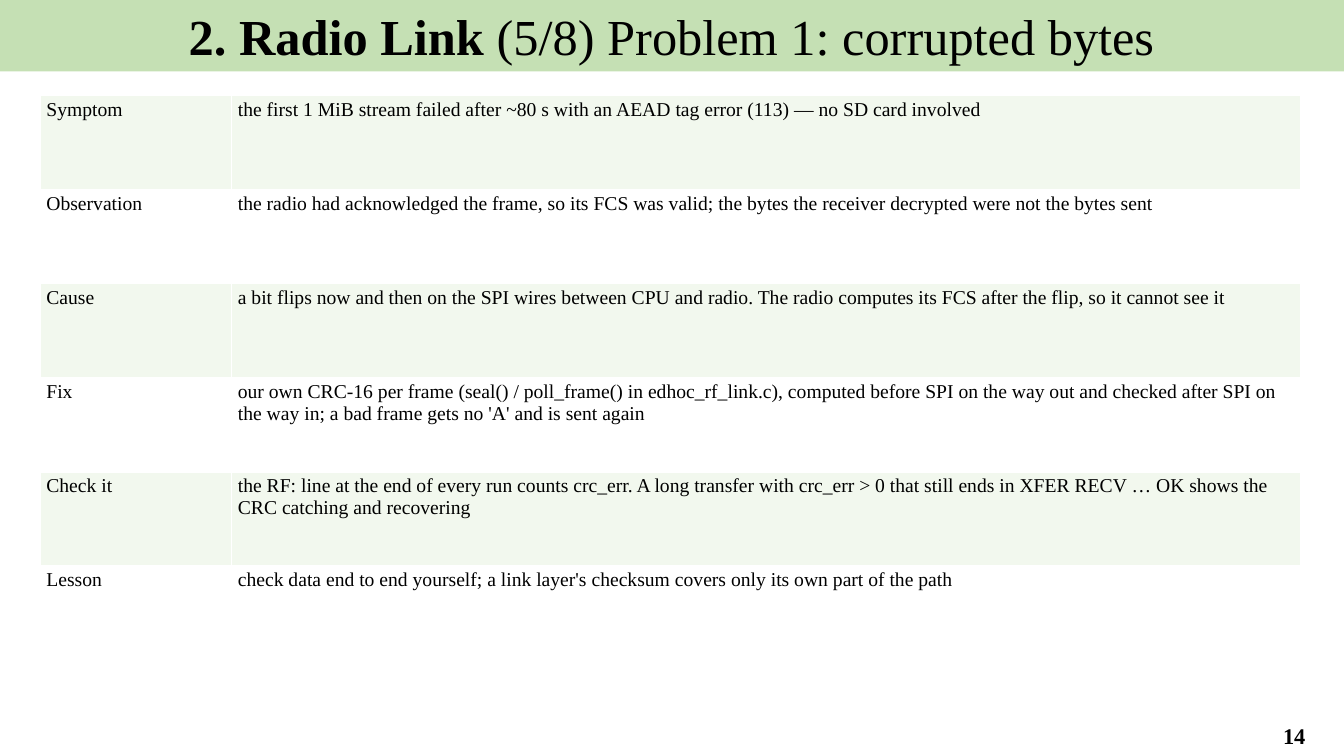
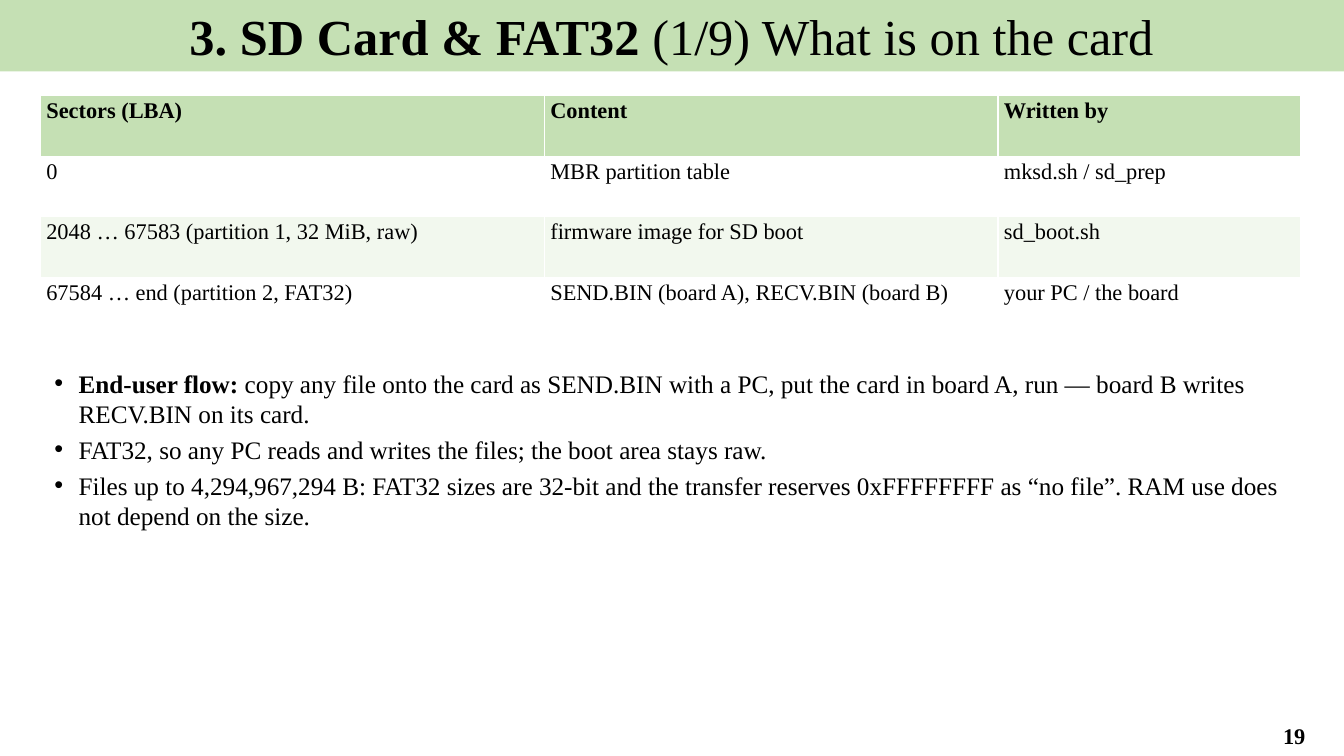
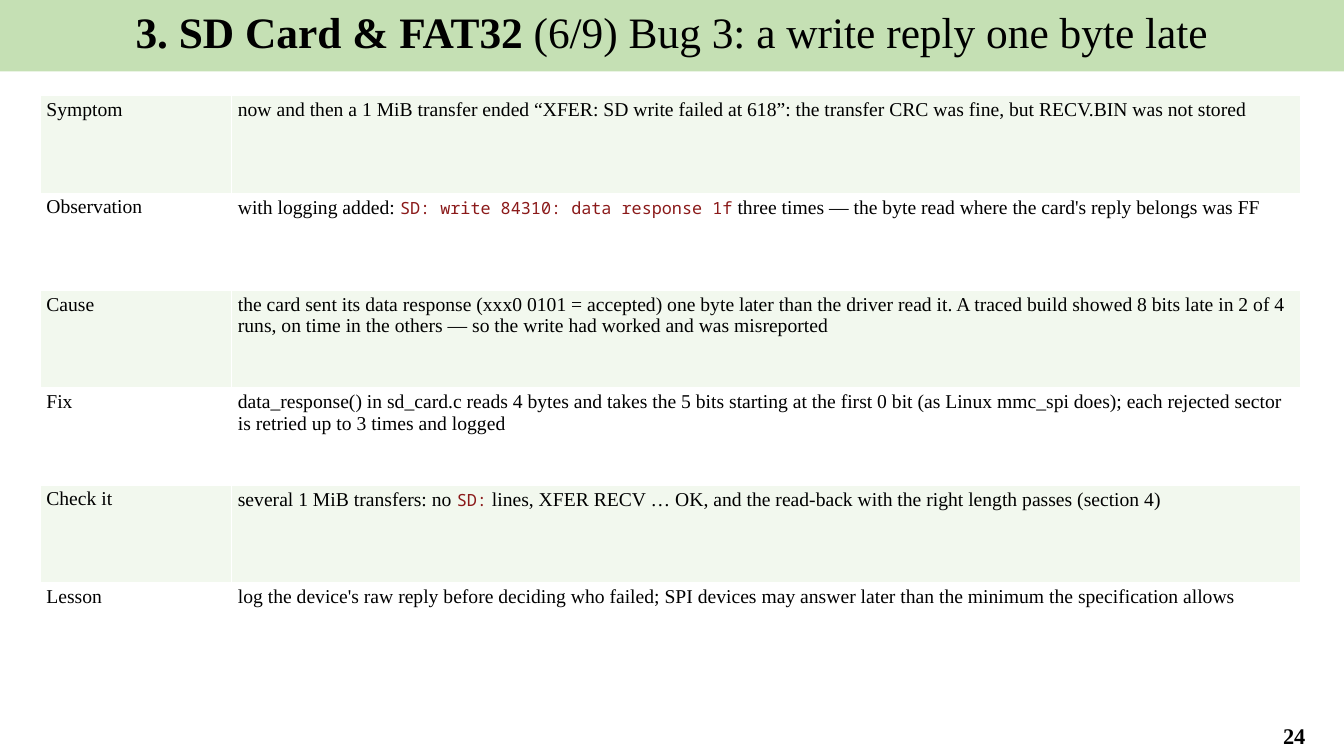
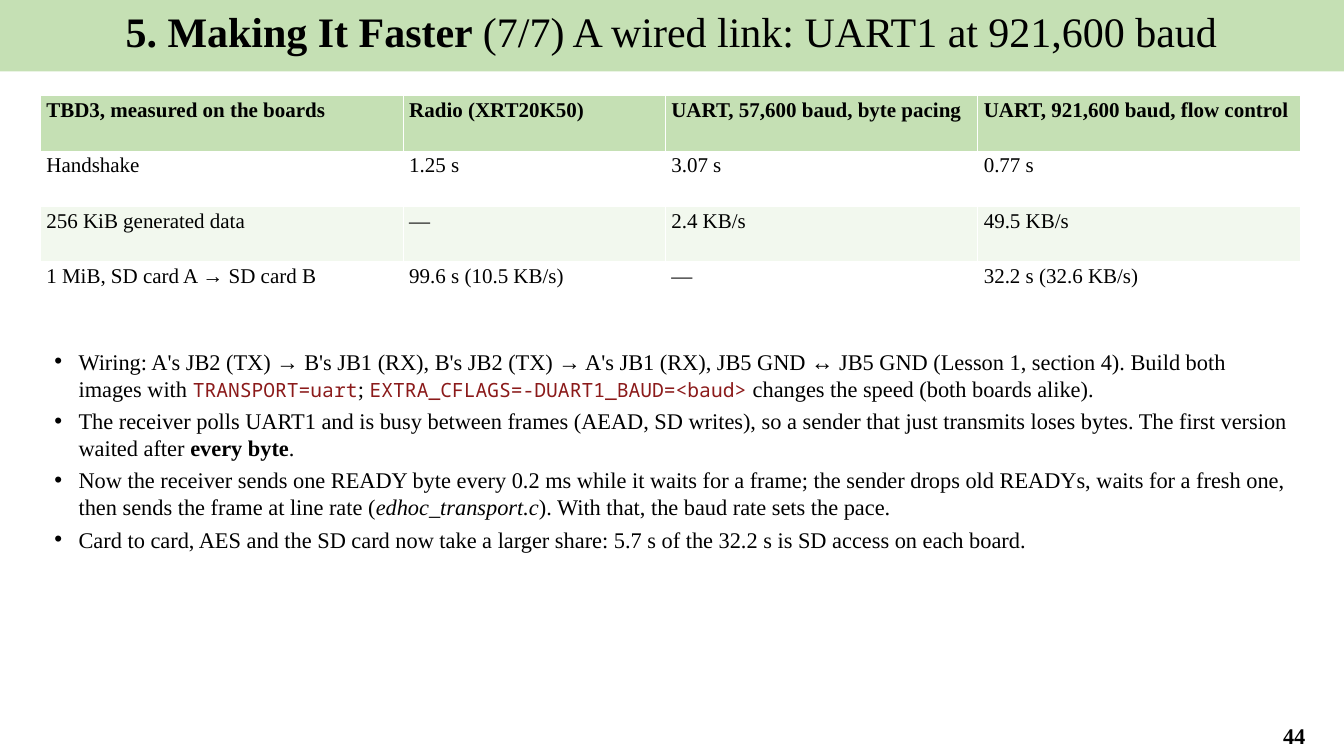
"""Build four lesson slides on a radio link, an SD card and a wired link."""
from dataclasses import dataclass, field
from typing import Optional

from pptx import Presentation
from pptx import slide as s
from pptx import util as u
from pptx.dml import color
from pptx.enum import text as e
from pptx.shapes import base
from pptx.text import text as t


@dataclass(frozen=True)
class Theme:
    ink: color.RGBColor = color.RGBColor(0x00, 0x00, 0x00)
    code: color.RGBColor = color.RGBColor(0x8B, 0x1A, 0x1A)
    band: color.RGBColor = color.RGBColor(0xC5, 0xE0, 0xB4)
    tint: color.RGBColor = color.RGBColor(0xF2, 0xF8, 0xEE)
    paper: color.RGBColor = color.RGBColor(0xFF, 0xFF, 0xFF)
    serif: str = "Times New Roman"
    mono: str = "Noto Sans Mono"
    number_size: float = 16
    case_size: float = 14
    code_step: float = 2


@dataclass(frozen=True)
class Run:
    words: str
    bold: bool = False
    italic: bool = False
    code: bool = False


@dataclass(frozen=True)
class Box:
    left: float
    top: float
    width: float
    height: float


Line = list[Run]


@dataclass(frozen=True)
class Grid:
    widths: list[float]
    height: float
    size: float
    rows: list[list[Line]]
    header: bool = True


@dataclass(frozen=True)
class Bullets:
    top: float
    height: float
    size: float
    lines: list[Line] = field(default_factory=list)


@dataclass(frozen=True)
class Page:
    number: int
    section: str
    topic: str
    title_size: float
    grid: Grid
    bullets: Optional[Bullets] = None


THEME = Theme()
SLIDE_WIDTH, SLIDE_HEIGHT = 960, 540
TITLE_BAND = Box(-0.5, 0, 960.5, 51)
NUMBER_BOX = Box(889.2, 511.2, 70.56, 28.08)
LEFT, TABLE_TOP, WIDTH = 28.8, 68.4, 900
CELL_SIDE, CELL_EDGE = 4.32, 2.16
HANG, INDENT, BULLET_GAP = 17.28, 20.16, 4
CASE_WIDTHS = [136.8, 763.2]
CASE_LABELS = ["Symptom", "Observation", "Cause", "Fix", "Check it", "Lesson"]


def plain(words: str) -> Line:
    return [Run(words)]


def case_grid(height: float, findings: list[Line]) -> Grid:
    rows = [[plain(label), finding] for label, finding in zip(CASE_LABELS, findings)]
    return Grid(CASE_WIDTHS, height, THEME.case_size, rows, header=False)


def data_grid(widths: list[float], height: float, size: float, rows: list[list[str]]) -> Grid:
    heading = [[Run(words, bold=True)] for words in rows[0]]
    return Grid(widths, height, size, [heading] + [[plain(words) for words in row] for row in rows[1:]])


def write(paragraph: t._Paragraph, line: Line, size: float) -> None:
    for part in line:
        run = paragraph.add_run()
        run.text = part.words
        font = run.font
        font.name = THEME.mono if part.code else THEME.serif
        font.size = u.Pt(size - THEME.code_step if part.code else size)
        font.bold, font.italic = part.bold, part.italic
        font.color.rgb = THEME.code if part.code else THEME.ink


def place(shape: base.BaseShape, box: Box) -> None:
    shape.left, shape.top = u.Pt(box.left), u.Pt(box.top)
    shape.width, shape.height = u.Pt(box.width), u.Pt(box.height)


def set_frame(frame: t.TextFrame, anchor: e.MSO_ANCHOR) -> None:
    frame.word_wrap = True
    frame.auto_size = e.MSO_AUTO_SIZE.NONE
    frame.vertical_anchor = anchor


def add_title(slide: s.Slide, page: Page) -> None:
    title = slide.shapes.title
    place(title, TITLE_BAND)
    title.fill.solid()
    title.fill.fore_color.rgb = THEME.band
    set_frame(title.text_frame, e.MSO_ANCHOR.TOP)
    heading = title.text_frame.paragraphs[0]
    heading.alignment = e.PP_ALIGN.CENTER
    write(heading, [Run(page.section + " ", bold=True), Run(page.topic)], page.title_size)


def add_number(slide: s.Slide, number: int) -> None:
    corner = slide.shapes.add_textbox(0, 0, 0, 0)
    place(corner, NUMBER_BOX)
    set_frame(corner.text_frame, e.MSO_ANCHOR.MIDDLE)
    label = corner.text_frame.paragraphs[0]
    label.alignment = e.PP_ALIGN.CENTER
    write(label, [Run(str(number), bold=True)], THEME.number_size)


def add_grid(slide: s.Slide, grid: Grid) -> None:
    table = slide.shapes.add_table(
        len(grid.rows), len(grid.widths),
        u.Pt(LEFT), u.Pt(TABLE_TOP), u.Pt(WIDTH), u.Pt(grid.height),
    ).table
    table.horz_banding = False
    for column, width in zip(table.columns, grid.widths):
        column.width = u.Pt(width)
    for i, row in enumerate(grid.rows):
        table.rows[i].height = u.Pt(grid.height / len(grid.rows))
        stripe = THEME.paper if i % 2 else THEME.tint
        for j, line in enumerate(row):
            cell = table.cell(i, j)
            cell.margin_left = cell.margin_right = u.Pt(CELL_SIDE)
            cell.margin_top = cell.margin_bottom = u.Pt(CELL_EDGE)
            cell.fill.solid()
            cell.fill.fore_color.rgb = THEME.band if grid.header and i == 0 else stripe
            write(cell.text_frame.paragraphs[0], line, grid.size)


def add_bullets(slide: s.Slide, bullets: Bullets) -> None:
    body = slide.placeholders[1]
    place(body, Box(LEFT, bullets.top, WIDTH, bullets.height))
    frame = body.text_frame
    set_frame(frame, e.MSO_ANCHOR.TOP)
    for i, line in enumerate(bullets.lines):
        item = frame.add_paragraph() if i else frame.paragraphs[0]
        properties = item._p.get_or_add_pPr()
        properties.set("marL", str(u.Pt(INDENT)))
        properties.set("indent", str(-u.Pt(HANG)))
        item.space_before, item.space_after = u.Pt(0), u.Pt(BULLET_GAP)
        write(item, line, bullets.size)


PAGES = [
    Page(14, "2. Radio Link", "(5/8) Problem 1: corrupted bytes", 36, case_grid(403.2, [
        plain("the first 1 MiB stream failed after ~80 s with an AEAD tag error (113) — no SD card involved"),
        plain("the radio had acknowledged the frame, so its FCS was valid; "
              "the bytes the receiver decrypted were not the bytes sent"),
        plain("a bit flips now and then on the SPI wires between CPU and radio. "
              "The radio computes its FCS after the flip, so it cannot see it"),
        plain("our own CRC-16 per frame (seal() / poll_frame() in edhoc_rf_link.c), computed before SPI "
              "on the way out and checked after SPI on the way in; a bad frame gets no 'A' and is sent again"),
        plain("the RF: line at the end of every run counts crc_err. A long transfer with crc_err > 0 "
              "that still ends in XFER RECV … OK shows the CRC catching and recovering"),
        plain("check data end to end yourself; a link layer's checksum covers only its own part of the path"),
    ])),
    Page(19, "3. SD Card & FAT32", "(1/9) What is on the card", 36, data_grid([360, 324, 216], 172.8, 16, [
        ["Sectors (LBA)", "Content", "Written by"],
        ["0", "MBR partition table", "mksd.sh / sd_prep"],
        ["2048 … 67583 (partition 1, 32 MiB, raw)", "firmware image for SD boot", "sd_boot.sh"],
        ["67584 … end (partition 2, FAT32)", "SEND.BIN (board A), RECV.BIN (board B)", "your PC / the board"],
    ]), Bullets(259.2, 216, 18, [
        [Run("End-user flow:", bold=True),
         Run(" copy any file onto the card as SEND.BIN with a PC, put the card in board A, "
             "run — board B writes RECV.BIN on its card.")],
        plain("FAT32, so any PC reads and writes the files; the boot area stays raw."),
        plain("Files up to 4,294,967,294 B: FAT32 sizes are 32-bit and the transfer reserves "
              "0xFFFFFFFF as “no file”. RAM use does not depend on the size."),
    ])),
    Page(24, "3. SD Card & FAT32", "(6/9) Bug 3: a write reply one byte late", 31, case_grid(417.6, [
        plain("now and then a 1 MiB transfer ended “XFER: SD write failed at 618”: "
              "the transfer CRC was fine, but RECV.BIN was not stored"),
        [Run("with logging added: "), Run("SD: write 84310: data response 1f", code=True),
         Run(" three times — the byte read where the card's reply belongs was FF")],
        plain("the card sent its data response (xxx0 0101 = accepted) one byte later than the driver read it. "
              "A traced build showed 8 bits late in 2 of 4 runs, on time in the others — "
              "so the write had worked and was misreported"),
        plain("data_response() in sd_card.c reads 4 bytes and takes the 5 bits starting at the first 0 bit "
              "(as Linux mmc_spi does); each rejected sector is retried up to 3 times and logged"),
        [Run("several 1 MiB transfers: no "), Run("SD:", code=True),
         Run(" lines, XFER RECV … OK, and the read-back with the right length passes (section 4)")],
        plain("log the device's raw reply before deciding who failed; "
              "SPI devices may answer later than the minimum the specification allows"),
    ])),
    Page(44, "5. Making It Faster", "(7/7) A wired link: UART1 at 921,600 baud", 30,
         data_grid([259.2, 187.2, 223.2, 230.4], 158.4, 15, [
             ["TBD3, measured on the boards", "Radio (XRT20K50)",
              "UART, 57,600 baud, byte pacing", "UART, 921,600 baud, flow control"],
             ["Handshake", "1.25 s", "3.07 s", "0.77 s"],
             ["256 KiB generated data", "—", "2.4 KB/s", "49.5 KB/s"],
             ["1 MiB, SD card A → SD card B", "99.6 s (10.5 KB/s)", "—", "32.2 s (32.6 KB/s)"],
         ]), Bullets(244.8, 252, 16, [
             [Run("Wiring: A's JB2 (TX) → B's JB1 (RX), B's JB2 (TX) → A's JB1 (RX), "
                  "JB5 GND ↔ JB5 GND (Lesson 1, section 4). Build both images with "),
              Run("TRANSPORT=uart", code=True), Run("; "),
              Run("EXTRA_CFLAGS=-DUART1_BAUD=<baud>", code=True),
              Run(" changes the speed (both boards alike).")],
             [Run("The receiver polls UART1 and is busy between frames (AEAD, SD writes), "
                  "so a sender that just transmits loses bytes. The first version waited after "),
              Run("every byte", bold=True), Run(".")],
             [Run("Now the receiver sends one READY byte every 0.2 ms while it waits for a frame; "
                  "the sender drops old READYs, waits for a fresh one, then sends the frame at line rate ("),
              Run("edhoc_transport.c", italic=True), Run("). With that, the baud rate sets the pace.")],
             plain("Card to card, AES and the SD card now take a larger share: "
                   "5.7 s of the 32.2 s is SD access on each board."),
         ])),
]


def main() -> None:
    deck = Presentation()
    deck.slide_width, deck.slide_height = u.Pt(SLIDE_WIDTH), u.Pt(SLIDE_HEIGHT)
    with_body = deck.slide_layouts.get_by_name("Title and Content")
    title_only = deck.slide_layouts.get_by_name("Title Only")
    for page in PAGES:
        slide = deck.slides.add_slide(with_body if page.bullets else title_only)
        add_title(slide, page)
        add_number(slide, page.number)
        add_grid(slide, page.grid)
        if page.bullets:
            add_bullets(slide, page.bullets)
    deck.save("out.pptx")


if __name__ == "__main__":
    main()
